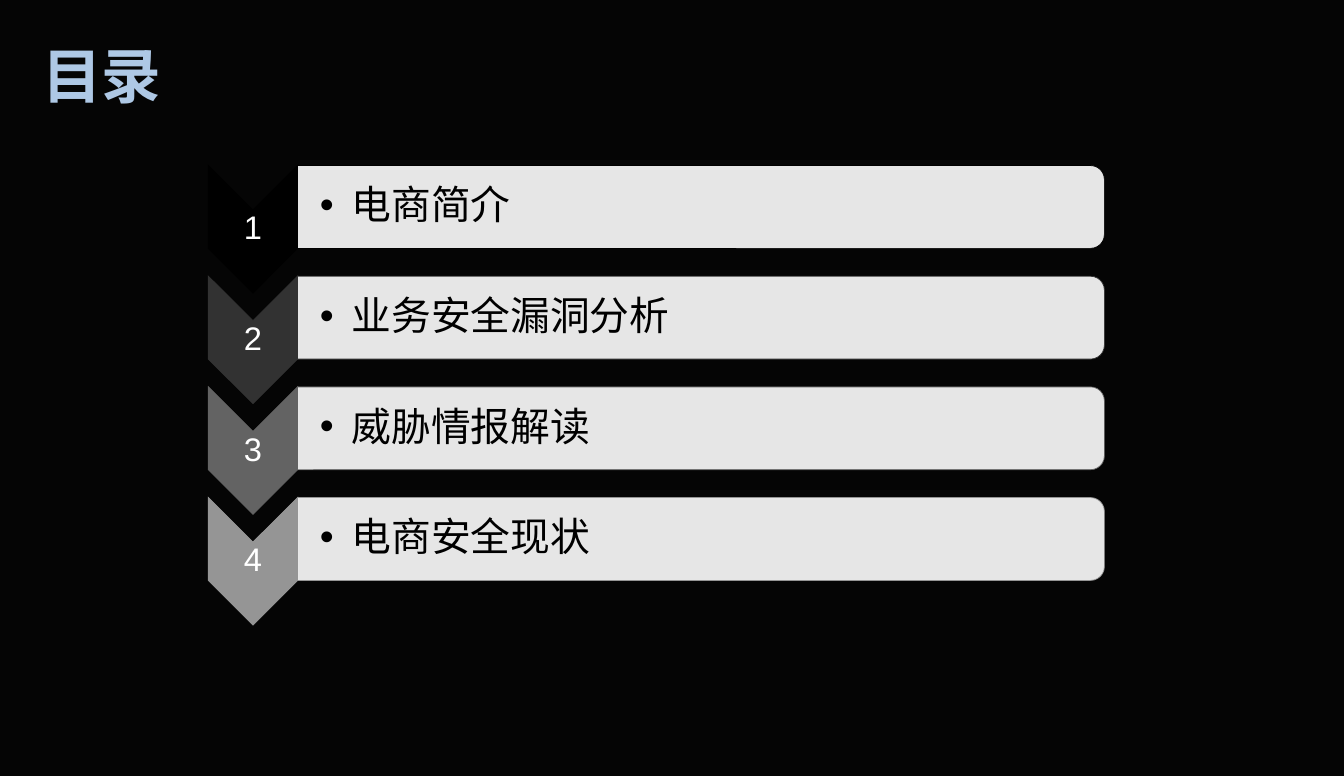
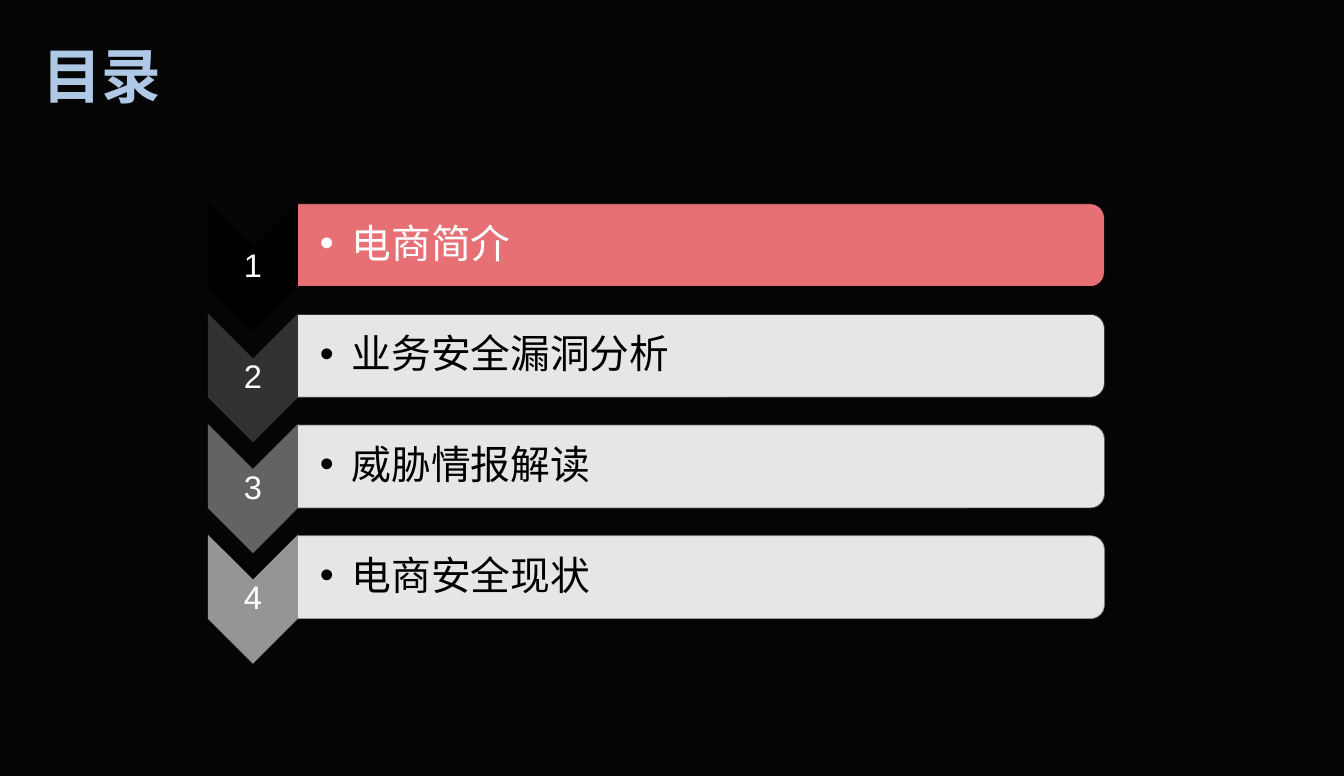
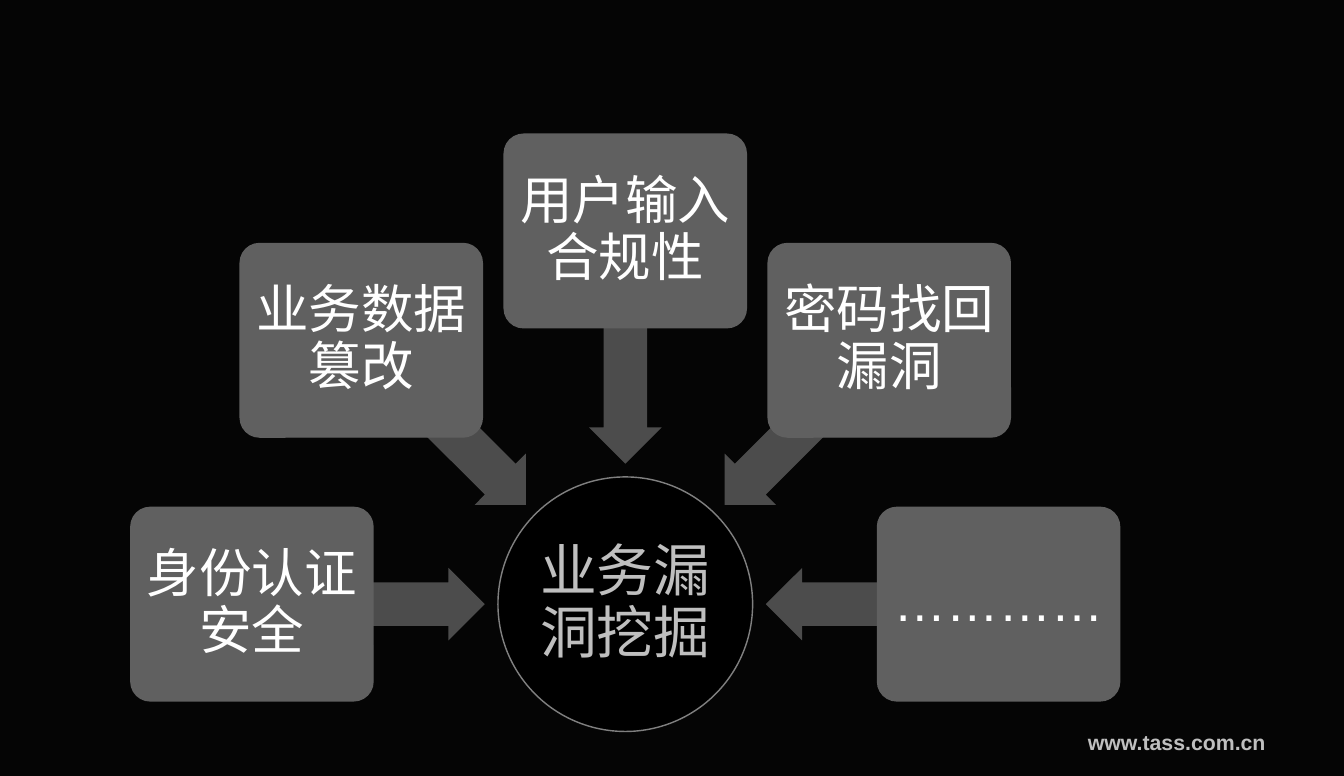
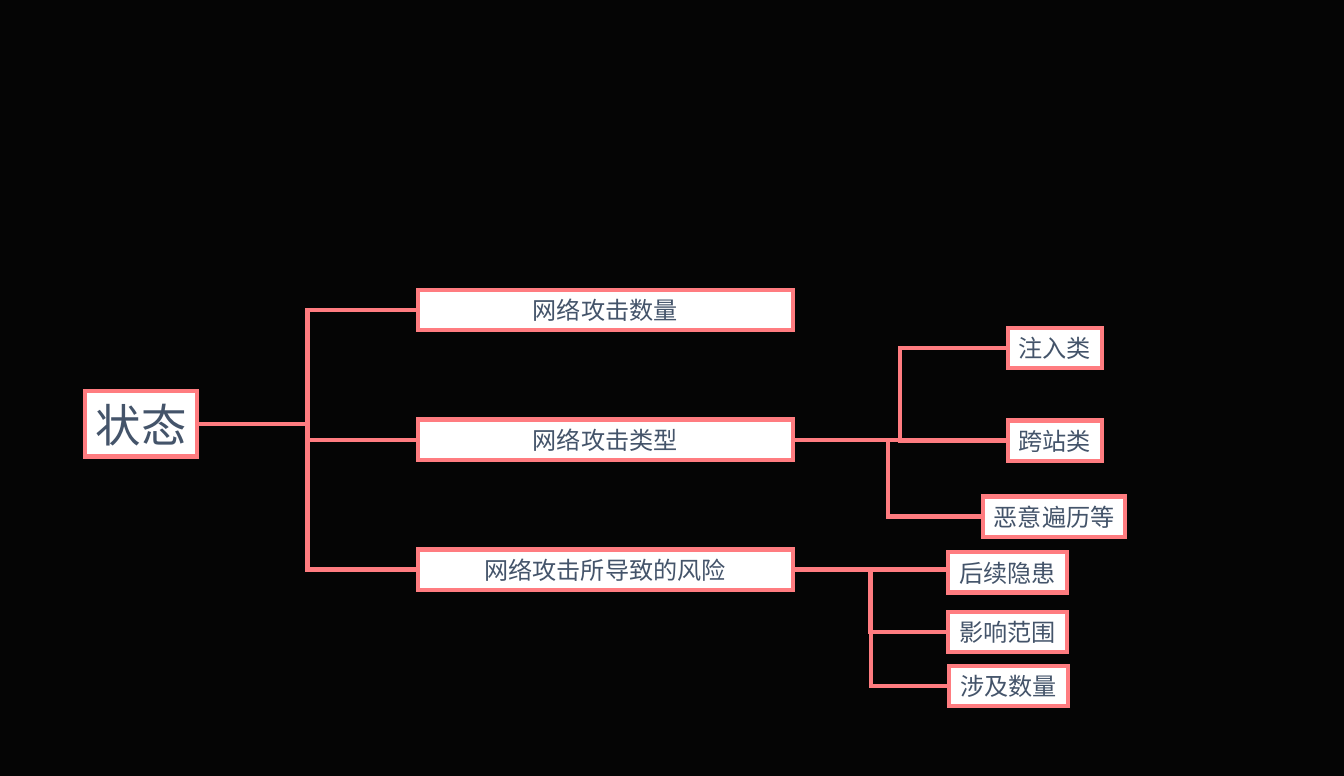
from math import cos, radians, sin

from lxml import etree
from pptx import Presentation
from pptx.dml.color import RGBColor
from pptx.enum import lang, shapes, text
from pptx.oxml import ns
from pptx.util import Pt

# Content
AGENDA = ["电商简介", "业务安全漏洞分析", "威胁情报解读", "电商安全现状"]
STEP_COLORS = ["000000", "323232", "636363", "959595"]
AGENDA_SLIDES = [(145.9, None), (172.8, 0)]  # first bar's centre, highlighted item

HUB = "业务漏洞挖掘"
SPOKES = ["身份认证安全", "业务数据篡改", "用户输入合规性", "密码找回漏洞", "…………"]
SITE = "www.tass.com.cn"

# Tree boxes: text, left, top, width, height, size, parent
TREE = {
    "root": ("状态", 59.8, 275.8, 79.2, 46, 32, None),
    "count": ("网络攻击数量", 294.3, 204.3, 264.2, 28.4, 17, "root"),
    "type": ("网络攻击类型", 294.3, 295.7, 264.2, 28.4, 17, "root"),
    "risk": ("网络攻击所导致的风险", 294.3, 387.2, 264.2, 28.4, 17, "root"),
    "inject": ("注入类", 710, 231.1, 66.2, 28.4, 17, "type"),
    "cross": ("跨站类", 710, 296.3, 66.2, 28.4, 17, "type"),
    "scrape": ("恶意遍历等", 692.6, 349.9, 100.1, 28.4, 17, "type"),
    "hidden": ("后续隐患", 668, 389.3, 83.5, 28.4, 17, None),
    "scope": ("影响范围", 668, 431.1, 83.5, 28.4, 17, "risk"),
    "amount": ("涉及数量", 668.7, 469.2, 83.5, 28.4, 17, "risk"),
}

# Shared look
BACK, TITLE, WHITE, BLACK = "050505", "AEC8E5", "FFFFFF", "000000"
CORAL, SLATE, GREY, SILVER = "FF7C80", "44546A", "606060", "BFBFBF"
LATIN, CJK = "Arial", "Noto Sans CJK SC"
SHAPE, ALIGN = shapes.MSO_SHAPE, text.PP_ALIGN
MIDDLE, TOP = text.MSO_ANCHOR.MIDDLE, text.MSO_ANCHOR.TOP


def rgb(color):
    return RGBColor.from_string(color)


def write(sp, words, size, color, font=LATIN, bold=False, align=ALIGN.CENTER,
          anchor=MIDDLE, pad=(1.5, 1.5), wrap=True, spacing=0.9, bullet=0):
    """Put one formatted paragraph into a shape; pad is (sides, top and bottom)."""
    tf = sp.text_frame
    frame = dict(auto_size=text.MSO_AUTO_SIZE.NONE, word_wrap=wrap, vertical_anchor=anchor,
                 margin_left=Pt(pad[0]), margin_right=Pt(pad[0]),
                 margin_top=Pt(pad[1]), margin_bottom=Pt(pad[1]))
    for key, value in frame.items():
        setattr(tf, key, value)
    p = tf.paragraphs[0]
    p.alignment, p.line_spacing = align, spacing
    if bullet:
        ppr = p._p.get_or_add_pPr()
        ppr.set("marL", str(Pt(bullet)))
        ppr.set("indent", str(-Pt(bullet)))
        etree.SubElement(ppr, ns.qn("a:buFont"), typeface=LATIN)
        etree.SubElement(ppr, ns.qn("a:buChar"), char="•")
    r = p.add_run()
    r.text = words
    look = dict(size=Pt(size), bold=bold, name=font,
                language_id=lang.MSO_LANGUAGE_ID.SIMPLIFIED_CHINESE)
    for key, value in look.items():
        setattr(r.font, key, value)
    r.font.color.rgb = rgb(color)
    latin = r._r.rPr.find(ns.qn("a:latin"))
    latin.addnext(latin.makeelement(ns.qn("a:ea"), {"typeface": font}))


def outline(sp, color, width):
    sp.line.color.rgb, sp.line.width = rgb(color), Pt(width)
    ln = sp._element.spPr.find(ns.qn("a:ln"))
    etree.SubElement(ln, ns.qn("a:miter"), lim="800000")


def add_shape(s, kind, box, fill, line=None, width=1, rotation=0, alpha=None, adj=()):
    sp = s.shapes.add_shape(kind, *map(Pt, box))
    sp.shadow.inherit = False
    sp.rotation = rotation
    sp.fill.solid()
    sp.fill.fore_color.rgb = rgb(fill)
    if alpha:
        clr = sp._element.spPr.find(ns.qn("a:solidFill"))[0]
        etree.SubElement(clr, ns.qn("a:alpha"), val=str(alpha * 1000))
    if line:
        outline(sp, line, width)
    else:
        sp.line.fill.background()
    for i, value in enumerate(adj):
        sp.adjustments[i] = value
    return sp


def add_text(s, box, words, size, color, **style):
    write(s.shapes.add_textbox(*map(Pt, box)), words, size, color, **style)


def add_line(s, kind, *ends):
    line = s.shapes.add_connector(kind, *map(Pt, ends))
    outline(line, CORAL, 3)
    etree.SubElement(line._element.spPr, ns.qn("a:effectLst"))
    return line


def centred(cx, cy, w, h):
    return cx - w / 2, cy - h / 2, w, h


def agenda_slide(prs, first, active):
    s = prs.slides.add_slide(prs.slide_layouts[5])
    write(s.shapes.title, "目录", 42, TITLE, font=CJK, bold=True,
          align=ALIGN.LEFT, anchor=TOP, pad=(3.6, 3.6))
    for i, (words, color) in enumerate(zip(AGENDA, STEP_COLORS)):
        bar_y = first + 78 * i
        step_y = bar_y + 15.6
        on = i == active
        add_shape(s, SHAPE.CHEVRON, centred(178.2, step_y, 90, 63), color, color, 0.5, 90)
        add_text(s, centred(178.2, step_y, 63, 27), str(i + 1), 23, WHITE)
        add_shape(s, SHAPE.ROUND_2_SAME_RECTANGLE, centred(493.8, bar_y, 58.4, 568.4),
                  CORAL if on else WHITE, color, 0.5, 90, alpha=90)
        add_text(s, (209.5, bar_y - 26.3, 566, 52.6), words, 28, WHITE if on else BLACK,
                 align=ALIGN.LEFT, pad=(15.8, 1.5), bullet=22.5)


def hub_slide(prs):
    s = prs.slides.add_slide(prs.slide_layouts[6])
    add_text(s, (756.9, 508.8, 149, 28), SITE, 15, SILVER, bold=True,
             align=ALIGN.LEFT, anchor=TOP, pad=(9.4, 5), spacing=1)
    x, y = 440.5, 425.8
    hub = add_shape(s, SHAPE.OVAL, centred(x, y, 179.4, 179.4), BLACK, "808080")
    write(hub, HUB, 40, SILVER, pad=(2, 2))
    for i, words in enumerate(SPOKES):
        angle = 180 + 45 * i
        dx, dy = cos(radians(angle)), sin(radians(angle))
        add_shape(s, SHAPE.LEFT_ARROW, centred(x + 181.1 * dx, y + 181.1 * dy, 164.2, 51.1),
                  GREY, rotation=angle % 360, alpha=79, adj=(0.6, 0.5))
        node = add_shape(s, SHAPE.ROUNDED_RECTANGLE,
                         centred(x + 263 * dx, y + 263 * dy, 170.6, 136.4),
                         GREY, GREY, adj=(0.1,))
        write(node, words, 37, WHITE, pad=(5.5, 5.5))


def tree_slide(prs):
    s = prs.slides.add_slide(prs.slide_layouts[6])
    boxes = {}
    for name, (words, x, y, w, h, size, parent) in TREE.items():
        sp = boxes[name] = add_shape(s, SHAPE.RECTANGLE, (x, y, w, h), WHITE, CORAL, 3)
        write(sp, words, size, SLATE, font=CJK, pad=(7.2, 3.6), wrap=False, spacing=1)
        if parent:
            px, py, pw, ph = TREE[parent][1:5]
            line = add_line(s, shapes.MSO_CONNECTOR.ELBOW, px + pw, py + ph / 2, x, y + h / 2)
            line.begin_connect(boxes[parent], 3)
            line.end_connect(sp, 1)
    # The first risk branch runs level and meets its box above the middle
    level = 401.4
    line = add_line(s, shapes.MSO_CONNECTOR.STRAIGHT, 558.5, level, 668, level)
    line.begin_connect(boxes["risk"], 3)


def main():
    prs = Presentation()
    prs.slide_width, prs.slide_height = Pt(946.8), Pt(546.9)
    back = prs.slide_master.background.fill
    back.solid()
    back.fore_color.rgb = rgb(BACK)
    title = prs.slide_layouts[5].placeholders[0]
    for key, value in dict(left=26, top=29.5, width=386.6, height=60.5).items():
        setattr(title, key, Pt(value))

    for first, active in AGENDA_SLIDES:
        agenda_slide(prs, first, active)
    hub_slide(prs)
    tree_slide(prs)
    prs.save("out.pptx")


if __name__ == "__main__":
    main()
